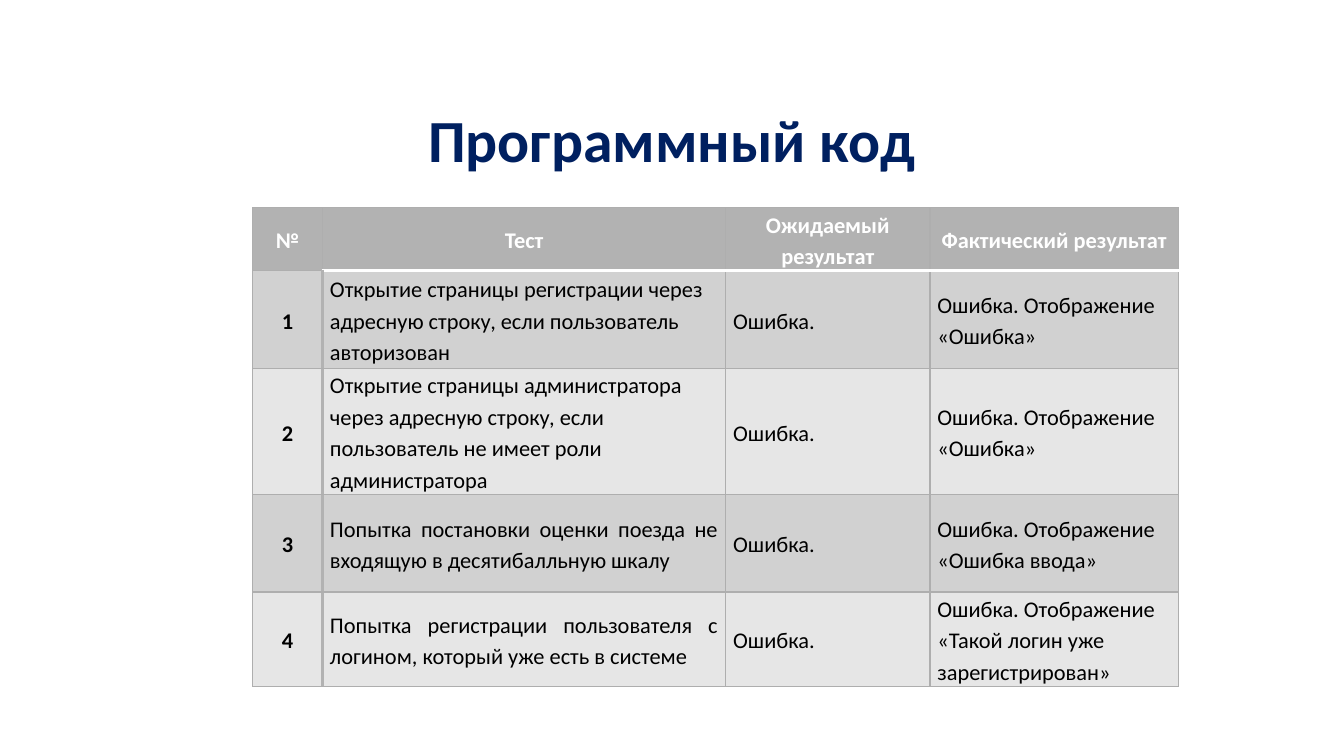
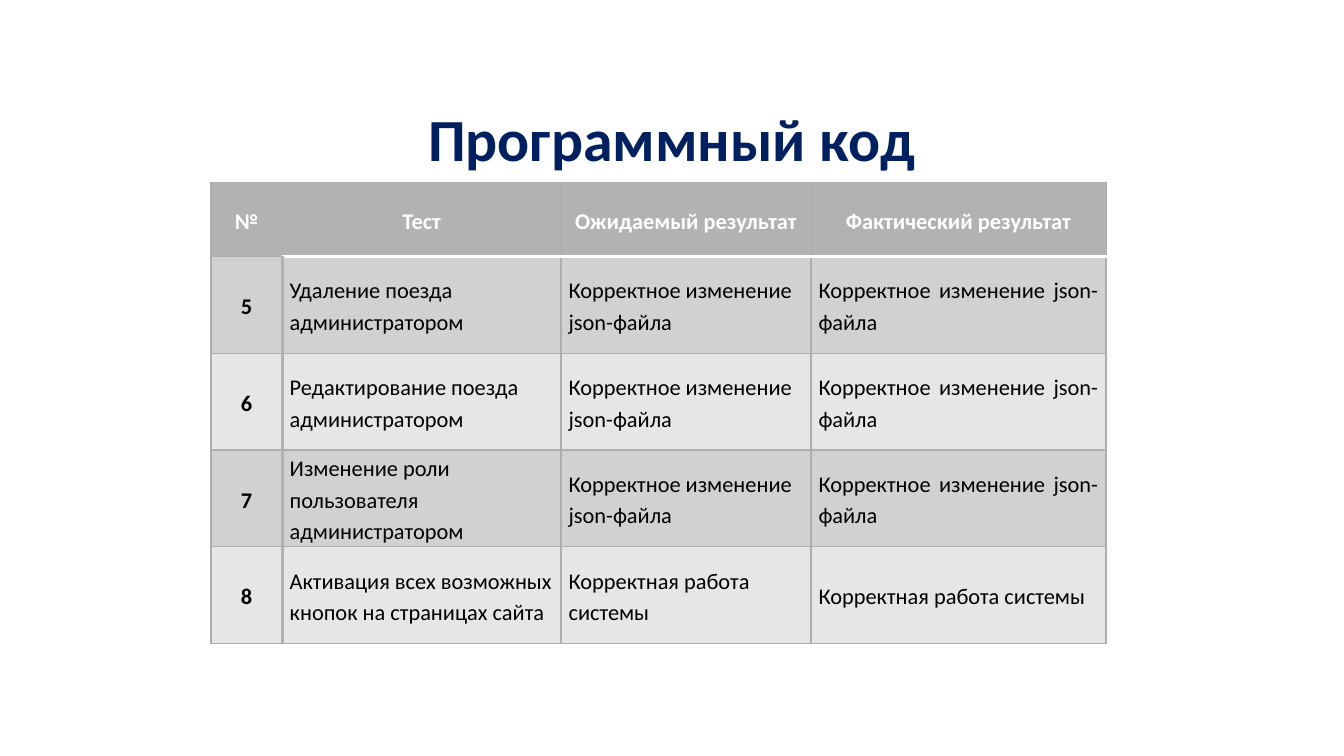
from dataclasses import dataclass

from lxml.etree import SubElement
from pptx import Presentation
from pptx.dml.color import RGBColor
from pptx.enum.text import MSO_ANCHOR, PP_ALIGN
from pptx.oxml.ns import qn
from pptx.util import Inches, Pt


@dataclass(frozen=True)
class Theme:
    font: str = "Calibri"
    title_size: int = 32
    table_size: int = 12
    title: str = "002060"
    header_fill: str = "B2B2B2"
    header_text: str = "FFFFFF"
    text: str = "000000"
    bands: tuple = ("D1D1D1", "E6E6E6")
    grid_line: tuple = ("AEAEAE", 0.75)
    header_rule: tuple = ("FFFFFF", 2)
    number_rule: tuple = ("B2B2B2", 2)


THEME = Theme()
WIDTH = Inches(10)
HEIGHT = WIDTH * 9 // 16
TITLE = "Программный код"
HEADINGS = ("№", "Тест", "Ожидаемый результат", "Фактический результат")
ALIGNMENTS = {"c": PP_ALIGN.CENTER, "l": PP_ALIGN.LEFT, "j": PP_ALIGN.JUSTIFY}

# Each test: alignment of its four cells, number, test, expected and actual result
ERROR = "Ошибка."
SHOWN_ERROR = "Ошибка. Отображение «Ошибка»"
JSON_CHANGED = "Корректное изменение json-файла"
SYSTEM_WORKS = "Корректная работа системы"
ERROR_TESTS = [
    ("cljl", "1", "Открытие страницы регистрации через адресную строку, "
     "если пользователь авторизован", ERROR, SHOWN_ERROR),
    ("cljl", "2", "Открытие страницы администратора через адресную строку, "
     "если пользователь не имеет роли администратора", ERROR, SHOWN_ERROR),
    ("cjjl", "3", "Попытка постановки оценки поезда не входящую в "
     "десятибалльную шкалу", ERROR, "Ошибка. Отображение «Ошибка ввода»"),
    ("cjjl", "4", "Попытка регистрации пользователя с логином, который уже "
     "есть в системе", ERROR,
     "Ошибка. Отображение «Такой логин уже зарегистрирован»"),
]
ADMIN_TESTS = [
    ("cllj", "5", "Удаление поезда администратором", JSON_CHANGED, JSON_CHANGED),
    ("cllj", "6", "Редактирование поезда администратором", JSON_CHANGED, JSON_CHANGED),
    ("cllj", "7", "Изменение роли пользователя администратором",
     JSON_CHANGED, JSON_CHANGED),
    ("cllj", "8", "Активация всех возможных кнопок на страницах сайта",
     SYSTEM_WORKS, SYSTEM_WORKS),
]


def across(percent):
    return round(WIDTH * percent / 100)


def down(percent):
    return round(HEIGHT * percent / 100)


def style_paragraph(paragraph, size, color, bold, alignment):
    paragraph.alignment = alignment
    for run in paragraph.runs:
        run.font.name = THEME.font
        run.font.size = Pt(size)
        run.font.bold = bold
        run.font.color.rgb = RGBColor.from_string(color)


def add_title(slide, top):
    title = slide.shapes.title
    title.left, title.top = across(15.7), down(top)
    title.width, title.height = across(68.6), down(12.1)
    title.text_frame.text = TITLE
    title.text_frame.vertical_anchor = MSO_ANCHOR.MIDDLE
    style_paragraph(title.text_frame.paragraphs[0], THEME.title_size,
                    THEME.title, True, PP_ALIGN.CENTER)


def cell_borders(row, column):
    """Left, right, top and bottom line of a cell, by its place in the table."""
    left = right = top = bottom = THEME.grid_line
    if row > 0 and column == 0:
        right = THEME.number_rule
    if row > 0 and column == 1:
        left = THEME.number_rule
    # The white rule under the header starts after the number column
    if row == 0 and column > 0:
        bottom = THEME.header_rule
    if row == 1 and column > 0:
        top = THEME.header_rule
    return {"a:lnL": left, "a:lnR": right, "a:lnT": top, "a:lnB": bottom}


def draw_borders(cell, borders):
    properties = cell._tc.get_or_add_tcPr()
    for tag, (color, points) in borders.items():
        line = SubElement(properties, qn(tag), w=str(Pt(points)))
        fill = SubElement(line, qn("a:solidFill"))
        SubElement(fill, qn("a:srgbClr"), val=color)


def fill_cell(cell, text, row, column, alignment):
    is_header = row == 0
    cell.vertical_anchor = MSO_ANCHOR.MIDDLE
    cell.margin_left = cell.margin_right = Pt(4)
    cell.margin_top = cell.margin_bottom = 0
    draw_borders(cell, cell_borders(row, column))
    cell.fill.solid()
    cell.fill.fore_color.rgb = RGBColor.from_string(
        THEME.header_fill if is_header else THEME.bands[(row - 1) % 2])
    cell.text_frame.text = text
    paragraph = cell.text_frame.paragraphs[0]
    paragraph.line_spacing = 1.15
    paragraph.space_after = Pt(10)
    style_paragraph(paragraph, THEME.table_size,
                    THEME.header_text if is_header else THEME.text,
                    is_header or column == 0, alignment)


def add_test_table(slide, left, top, widths, heights, tests):
    table = slide.shapes.add_table(
        len(heights), len(widths), across(left), down(top),
        across(sum(widths)), down(sum(heights))).table
    table.horz_banding = False
    for column, width in zip(table.columns, widths):
        column.width = across(width)
    for row, height in zip(table.rows, heights):
        row.height = down(height)
    for row, (alignments, *texts) in enumerate([("cccc", *HEADINGS), *tests]):
        for column, (text, key) in enumerate(zip(texts, alignments)):
            fill_cell(table.cell(row, column), text, row, column, ALIGNMENTS[key])


def main():
    deck = Presentation()
    deck.slide_width, deck.slide_height = WIDTH, HEIGHT
    title_only = deck.slide_layouts[5]

    # Tests that should end in an error
    error_slide = deck.slides.add_slide(title_only)
    add_title(error_slide, top=12.3)
    add_test_table(error_slide, 18.8, 27.5, (5.2, 30, 15.2, 18.5),
                   (7.3, 12.95, 16.2, 12.95, 9.6), ERROR_TESTS)

    # Tests of the administrator's actions
    admin_slide = deck.slides.add_slide(title_only)
    add_title(admin_slide, top=12.15)
    add_test_table(admin_slide, 15.7, 24.15, (5.3, 20.75, 18.6, 21.95),
                   (9.8, *[12.8] * len(ADMIN_TESTS)), ADMIN_TESTS)

    deck.save("out.pptx")


if __name__ == "__main__":
    main()
